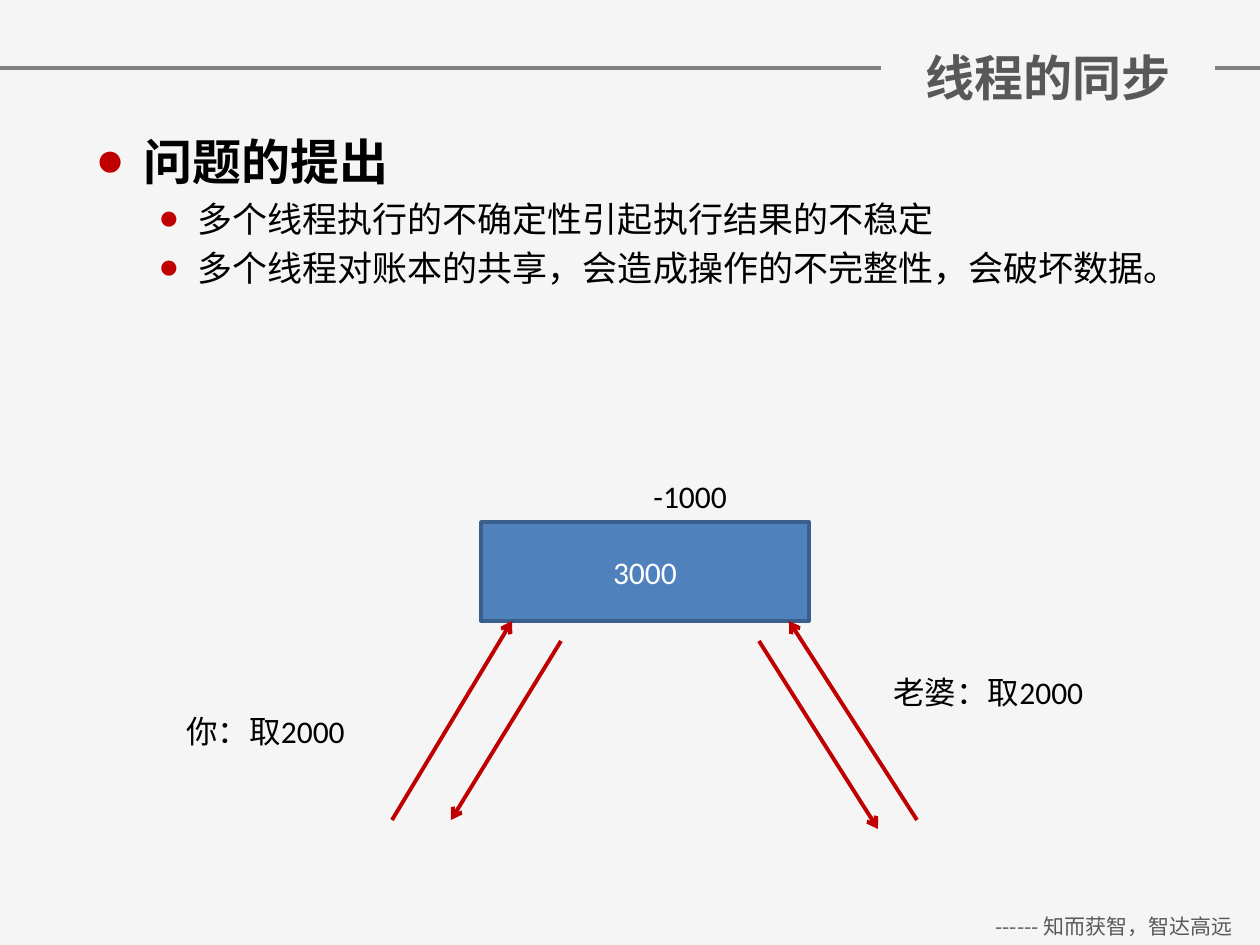
import pptx
import pptx.dml.color
import pptx.enum.shapes
import pptx.enum.text
import pptx.oxml
import pptx.oxml.ns
import pptx.util

RGB = pptx.dml.color.RGBColor
BACKGROUND = RGB(0xF5, 0xF5, 0xF5)
RULE = RGB(0x80, 0x80, 0x80)
TITLE = RGB(0x59, 0x57, 0x58)
FOOTER = RGB(0x59, 0x59, 0x59)
RED = RGB(0xC0, 0x00, 0x00)
BLUE = RGB(0x4F, 0x81, 0xBD)
BLUE_EDGE = RGB(0x3A, 0x5F, 0x8C)
BLACK = RGB(0x00, 0x00, 0x00)
WHITE = RGB(0xFF, 0xFF, 0xFF)

PX = 914400 / 126
ALIGN = pptx.enum.text.PP_ALIGN
ANCHOR = pptx.enum.text.MSO_ANCHOR
SANS = "Noto Sans CJK SC"
LABEL = {"name": "Calibri", "size": pptx.util.Pt(18)}


def px(*lengths):
    """Turn px lengths into EMU."""
    return [round(n * PX) for n in lengths]


def add_run(p, text, color, fmt):
    """Add a run to a paragraph with the given font values."""
    r = p.add_run()
    r.text = text
    for key, value in fmt.items():
        setattr(r.font, key, value)
    r.font.color.rgb = color


def add_text(slide, box, text, color, fmt, align=ALIGN.LEFT):
    """Place one line of text in a box."""
    tf = slide.shapes.add_textbox(*px(*box)).text_frame
    tf.word_wrap = True
    p = tf.paragraphs[0]
    p.alignment = align
    add_run(p, text, color, fmt)


def add_rect(slide, box, text, fill, edge, color, fmt):
    """Place a filled rectangle with centred text."""
    sp = slide.shapes.add_shape(pptx.enum.shapes.MSO_SHAPE.RECTANGLE, *px(*box))
    sp.shadow.inherit = False
    sp.fill.solid()
    sp.fill.fore_color.rgb = fill
    if edge is None:
        sp.line.fill.background()
    else:
        sp.line.color.rgb = edge
        sp.line.width = pptx.util.Pt(2)
    tf = sp.text_frame
    tf.vertical_anchor = ANCHOR.MIDDLE
    p = tf.paragraphs[0]
    p.alignment = ALIGN.CENTER
    add_run(p, text, color, fmt)


def add_line(slide, ends, color, width, arrow=False):
    """Draw a straight line, with an arrowhead at its end if asked."""
    kind = pptx.enum.shapes.MSO_CONNECTOR.STRAIGHT
    sp = slide.shapes.add_connector(kind, *px(*ends))
    sp.line.color.rgb = color
    sp.line.width = pptx.util.Pt(width)
    if arrow:
        ln = sp.line._get_or_add_ln()
        ln.append(pptx.oxml.parse_xml(
            f'<a:tailEnd {pptx.oxml.ns.nsdecls("a")} type="arrow"/>'))
    sp._element.spPr.append(pptx.oxml.parse_xml(
        f'<a:effectLst {pptx.oxml.ns.nsdecls("a")}/>'))


def add_bullet(p, left, hang):
    """Give a paragraph a red round bullet and a hanging indent."""
    pPr = p._p.get_or_add_pPr()
    pPr.set("marL", str(px(left)[0]))
    pPr.set("indent", str(px(-hang)[0]))
    ns = pptx.oxml.ns.nsdecls("a")
    for xml in (f'<a:buClr {ns}><a:srgbClr val="{RED}"/></a:buClr>',
                f'<a:buFont {ns} typeface="Times New Roman"/>',
                f'<a:buChar {ns} char="●"/>'):
        pPr.append(pptx.oxml.parse_xml(xml))


def add_header(slide, x, y, w, h):
    """Place the rule and the title that interrupts it."""
    add_line(slide, (x, y + 68, x + w, y + 68), RULE, 2)
    fmt = {"name": SANS, "size": pptx.util.Pt(28), "bold": True}
    add_rect(slide, (x + 881, y + 37, 334, h - 37), "线程的同步",
             BACKGROUND, None, TITLE, fmt)


def add_body(slide, x, y, w, h):
    """Place the heading and its two points."""
    tf = slide.shapes.add_textbox(*px(x, y, w, h)).text_frame
    tf.word_wrap = True
    items = [("问题的提出", 0, 28),
             ("多个线程执行的不确定性引起执行结果的不稳定", 1, 20),
             ("多个线程对账本的共享，会造成操作的不完整性，会破坏数据。", 1, 20)]
    for i, (text, level, size) in enumerate(items):
        p = tf.add_paragraph() if i else tf.paragraphs[0]
        p.level = level
        p.space_before = pptx.util.Pt(4 if i else 0)
        add_bullet(p, *((102, 39) if level else (48, 48)))
        fmt = {"name": "Times New Roman", "size": pptx.util.Pt(size),
               "bold": level == 0}
        add_run(p, text, BLACK, fmt)


def add_account(slide, x, y):
    """Draw the shared account and the two withdrawals from it."""
    add_rect(slide, (x + 307, y + 51, 328, 99), "3000",
             BLUE, BLUE_EDGE, WHITE, LABEL)
    for x1, y1, x2, y2 in ((218, 349, 338, 150), (743, 349, 615, 150),
                           (387, 170, 277, 349), (585, 170, 704, 358)):
        add_line(slide, (x + x1, y + y1, x + x2, y + y2), RED, 2.25, True)
    for left, top, width, text in ((0, 235, 218, "你：取2000"),
                                   (707, 196, 307, "老婆：取2000"),
                                   (467, 0, 115, "-1000")):
        add_text(slide, (x + left, y + top, width, 50), text, BLACK, LABEL)


def add_footer(slide, x, y, w, h):
    """Place the motto at the foot of the slide."""
    fmt = {"name": SANS, "size": pptx.util.Pt(12)}
    add_text(slide, (x, y, w, h), "------ 知而获智，智达高远", FOOTER, fmt,
             ALIGN.CENTER)


def main():
    """Build the slide and save it."""
    prs = pptx.Presentation()
    prs.slide_width, prs.slide_height = px(1260, 945)
    slide = prs.slides.add_slide(prs.slide_layouts[6])
    slide.background.fill.solid()
    slide.background.fill.fore_color.rgb = BACKGROUND
    add_header(slide, 0, 0, 1260, 116)
    add_footer(slide, 968, 907, 292, 38)
    add_body(slide, 83, 125, 1082, 277)
    add_account(slide, 174, 471)
    prs.save("out.pptx")


if __name__ == "__main__":
    main()
